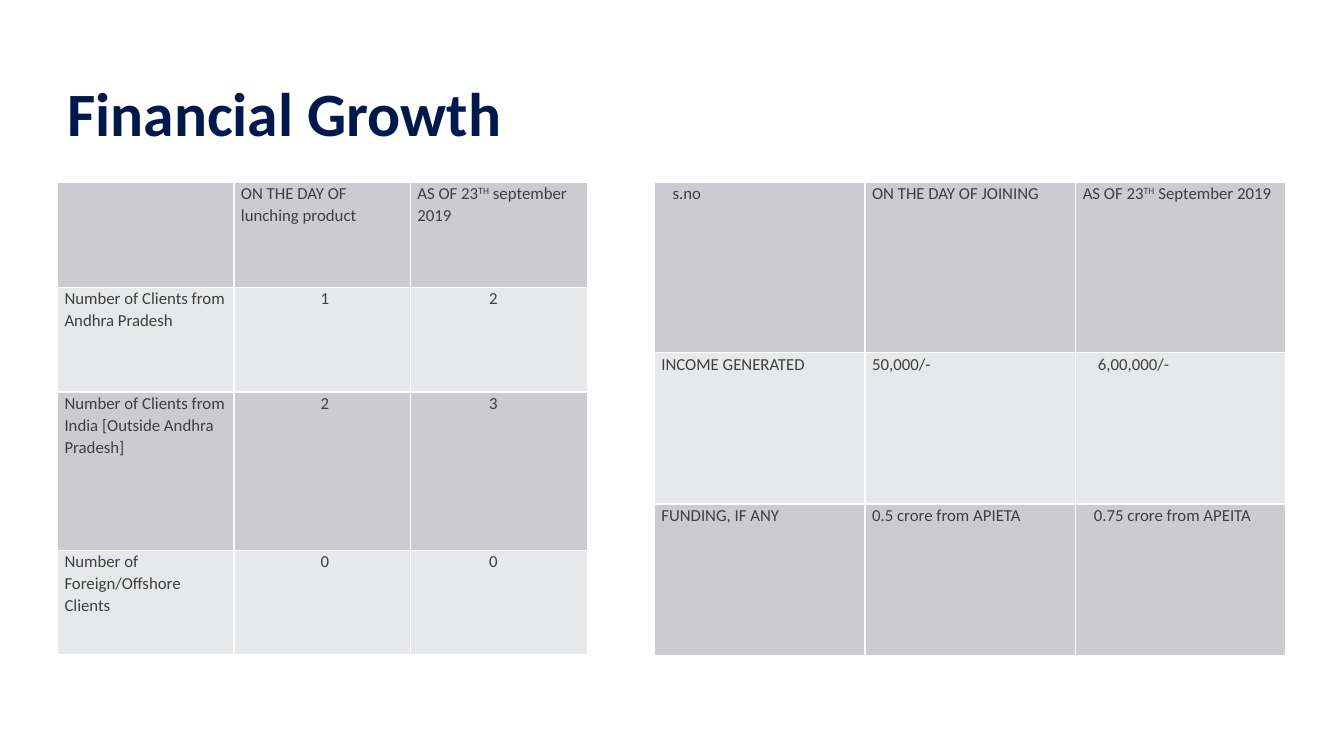
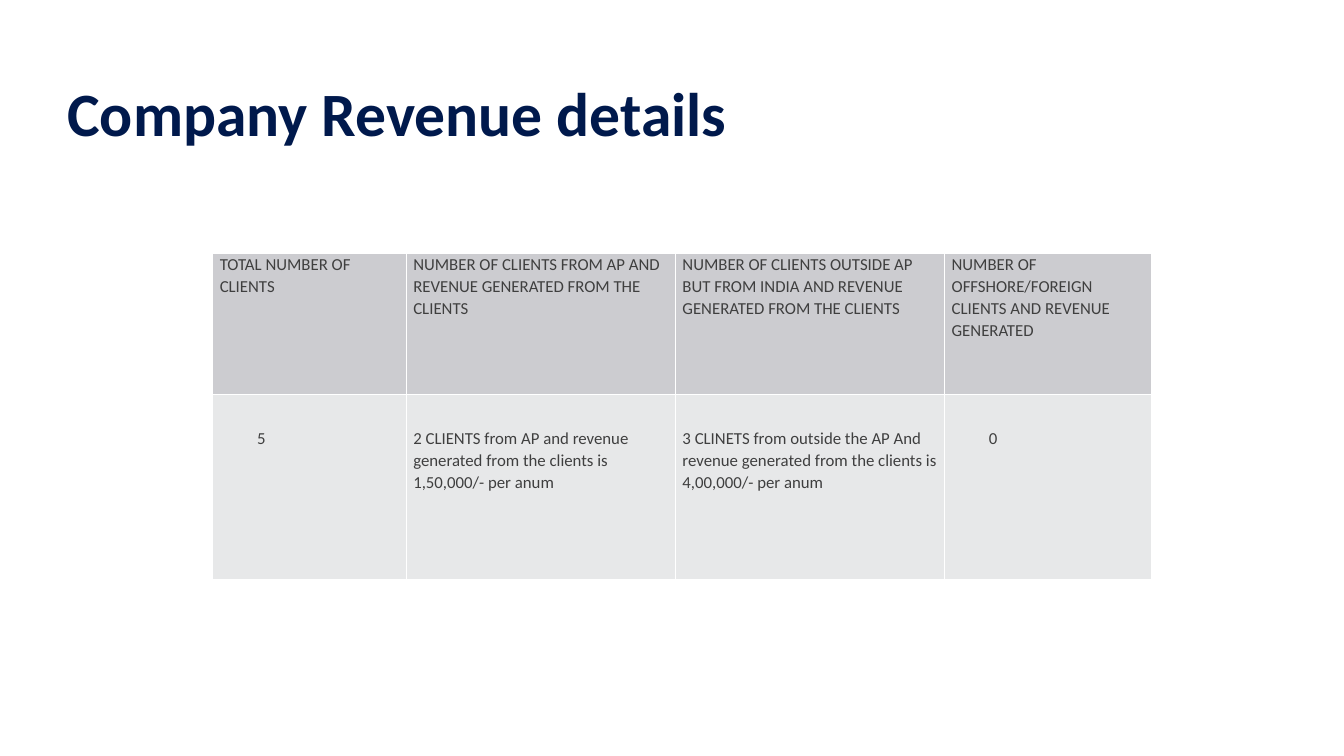
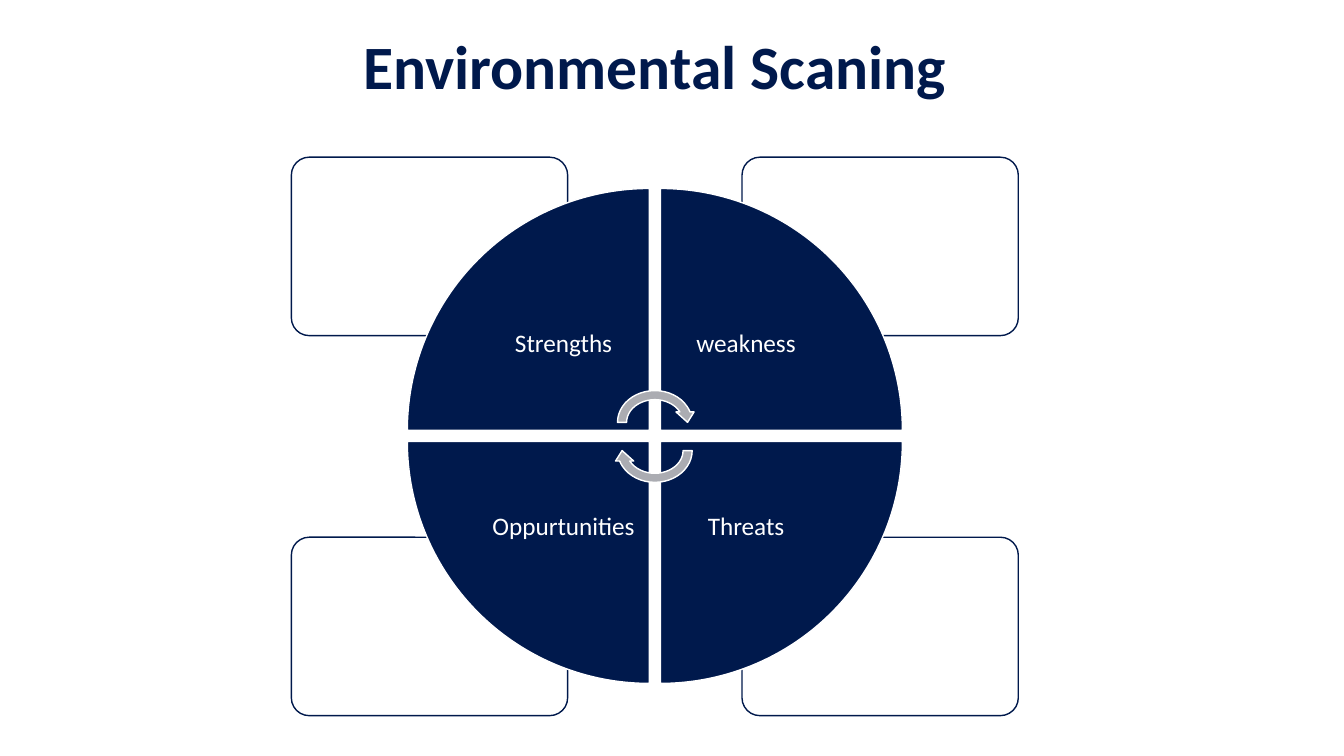
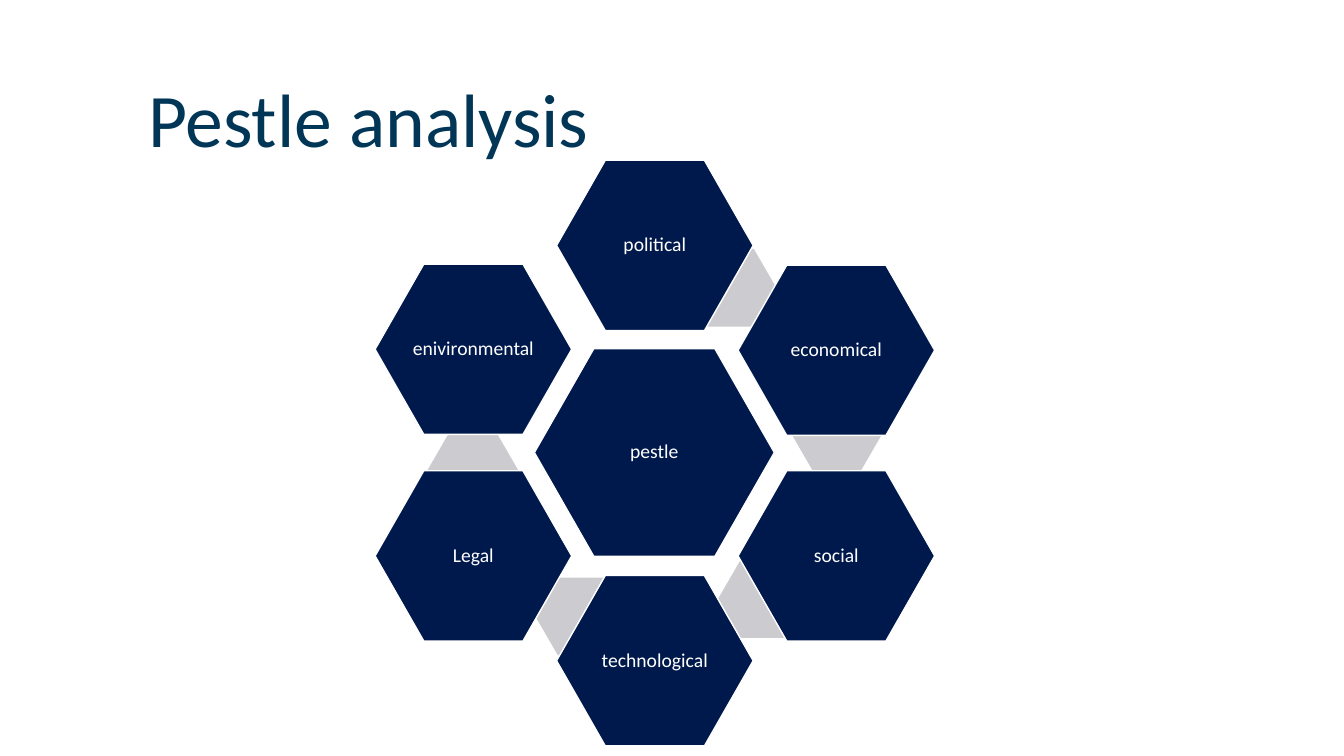
from dataclasses import dataclass

from lxml import etree
from pptx import Presentation
from pptx.dml.color import RGBColor
from pptx.enum.shapes import MSO_SHAPE
from pptx.enum.text import MSO_ANCHOR, PP_ALIGN
from pptx.oxml.ns import qn
from pptx.util import Pt

PX = 9144  # EMU in one px, 100 px to the inch
LEFT, CENTER = PP_ALIGN.LEFT, PP_ALIGN.CENTER
TOP, MIDDLE, BOTTOM = MSO_ANCHOR.TOP, MSO_ANCHOR.MIDDLE, MSO_ANCHOR.BOTTOM
ROUNDED, WEDGE = MSO_SHAPE.ROUNDED_RECTANGLE, MSO_SHAPE.PIE_WEDGE
ARROW, HEXAGON = MSO_SHAPE.CIRCULAR_ARROW, MSO_SHAPE.HEXAGON

COLORS = {
    "navy": "00194C", "teal": "013657", "text": "3F3F3F", "white": "FFFFFF",
    "band": "CCCCD0", "pale": "E7E8E9", "arrow": "ABACB2",
}


@dataclass(frozen=True)
class Style:
    size: int
    color: str
    bold: bool = False
    align: PP_ALIGN = LEFT
    anchor: MSO_ANCHOR = TOP
    spacing: float = 0.9
    margins: tuple[int, int, int, int] = (10, 5, 10, 0)


@dataclass(frozen=True)
class Box:
    x: int
    y: int
    w: int
    h: int

    def emu(self) -> tuple[int, ...]:
        return tuple(v * PX for v in (self.x, self.y, self.w, self.h))


@dataclass(frozen=True)
class Cell:
    """Cell text, with ^ around superscripts, and its extra indent and drop."""
    text: str
    indent: int = 0
    drop: int = 0


@dataclass(frozen=True)
class Table:
    x: int
    y: int
    cols: list[int]
    rows: list[int]
    cells: list[list[Cell]]


TITLE = Style(44, "navy", bold=True, anchor=BOTTOM)
TITLE_CENTERED = Style(44, "navy", bold=True, align=CENTER, anchor=BOTTOM)
TITLE_LARGE = Style(54, "teal", spacing=1.0)
CELL = Style(12, "text", spacing=1.07)
WEDGE_LABEL = Style(18, "white", align=CENTER, anchor=MIDDLE, margins=(10,) * 4)
HEXAGON_LABEL = Style(14, "white", align=CENTER, anchor=MIDDLE, margins=(2,) * 4)
TITLE_BOX = Box(57, 23, 1185, 126)

CLIENTS = Table(57, 181, [175, 175, 176], [104, 104, 157, 104], [
    [Cell(""), Cell("ON THE DAY OF lunching product"),
     Cell("AS OF 23^TH^ september 2019")],
    [Cell("Number of Clients from Andhra Pradesh"), Cell("1", 79), Cell("2", 71)],
    [Cell("Number of Clients from India [Outside Andhra Pradesh]"),
     Cell("2", 79), Cell("3", 71)],
    [Cell("Number of Foreign/Offshore Clients"), Cell("0", 79), Cell("0", 71)],
])
INCOME = Table(649, 181, [209, 209, 208], [169, 150, 150], [
    [Cell("s.no", 11), Cell("ON THE DAY OF JOINING"),
     Cell("AS OF 23^TH^ September 2019")],
    [Cell("INCOME GENERATED"), Cell("50,000/-"), Cell("6,00,000/-", 15)],
    [Cell("FUNDING, IF ANY"), Cell("0.5 crore from APIETA"),
     Cell("0.75 crore from APEITA", 11)],
])
REVENUE = Table(211, 251, [192, 267, 267, 205], [140, 184], [
    [Cell("TOTAL NUMBER OF CLIENTS"),
     Cell("NUMBER OF CLIENTS FROM AP AND REVENUE GENERATED FROM THE CLIENTS"),
     Cell("NUMBER OF CLIENTS OUTSIDE AP BUT FROM INDIA AND REVENUE "
          "GENERATED FROM THE CLIENTS"),
     Cell("NUMBER OF OFFSHORE/FOREIGN CLIENTS AND REVENUE GENERATED")],
    [Cell("5", 37, 33),
     Cell("2 CLIENTS from AP and revenue generated from the clients is "
          "1,50,000/- per anum", drop=33),
     Cell("3 CLINETS from outside the AP And revenue generated from the "
          "clients is 4,00,000/- per anum", drop=33),
     Cell("0", 37, 33)],
])

# label, column, row, rotation
SWOT = [("Strengths", 0, 0, 0), ("weakness", 1, 0, 90),
        ("Threats", 1, 1, 180), ("Oppurtunities", 0, 1, 270)]
# label, column from the middle, top
PESTLE = [("political", 0, 159), ("economical", 1, 263), ("social", 1, 467),
          ("technological", 0, 571), ("Legal", -1, 467), ("enivironmental", -1, 262)]
LINKS = [(680, 247), (785, 392), (712, 556), (531, 573), (424, 428)]


def rgb(name: str) -> RGBColor:
    return RGBColor.from_string(COLORS[name])


def write(tf, text: str, style: Style) -> None:
    p = tf.paragraphs[0]
    for key, value in {"alignment": style.align, "line_spacing": style.spacing}.items():
        setattr(p, key, value)
    for i, part in enumerate(text.split("^")):
        r = p.add_run()
        r.text = part
        font = {"name": "Calibri", "size": Pt(style.size), "bold": style.bold}
        for key, value in font.items():
            setattr(r.font, key, value)
        r.font.color.rgb = rgb(style.color)
        if i % 2:
            r._r.get_or_add_rPr().set("baseline", "30000")


def fill_frame(tf, text: str, style: Style) -> None:
    """Set up the text frame of a shape or text box and write in it."""
    left, top, right, bottom = (m * PX for m in style.margins)
    frame = {"word_wrap": True, "vertical_anchor": style.anchor,
             "margin_left": left, "margin_top": top,
             "margin_right": right, "margin_bottom": bottom}
    for key, value in frame.items():
        setattr(tf, key, value)
    write(tf, text, style)


def add_text(s, box: Box, text: str, style: Style) -> None:
    fill_frame(s.shapes.add_textbox(*box.emu()).text_frame, text, style)


def add_shape(s, kind: MSO_SHAPE, box: Box, fill: str, line: str = "",
              rotation: int = 0, adj: float | None = None):
    sp = s.shapes.add_shape(kind, *box.emu())
    sp.shadow.inherit = False
    sp.rotation = rotation
    sp.fill.solid()
    sp.fill.fore_color.rgb = rgb(fill)
    if line:
        sp.line.color.rgb = rgb(line)
        sp.line.width = Pt(1)
    else:
        sp.line.fill.background()
    if adj is not None:
        sp.adjustments[0] = adj
    return sp


def add_borders(cell) -> None:
    tc_pr = cell._tc.get_or_add_tcPr()
    for side in ("lnL", "lnR", "lnT", "lnB"):
        ln = etree.SubElement(tc_pr, qn(f"a:{side}"), w=str(Pt(1)))
        solid = etree.SubElement(ln, qn("a:solidFill"))
        etree.SubElement(solid, qn("a:srgbClr"), val=COLORS["white"])


def add_table(s, table: Table) -> None:
    box = Box(table.x, table.y, sum(table.cols), sum(table.rows))
    tbl = s.shapes.add_table(len(table.rows), len(table.cols), *box.emu()).table
    tbl.first_row = tbl.horz_banding = False
    for col, width in zip(tbl.columns, table.cols):
        col.width = width * PX
    for i, (row, height) in enumerate(zip(tbl.rows, table.rows)):
        row.height = height * PX
        for cell, data in zip(row.cells, table.cells[i]):
            margins = {"margin_left": 7 + data.indent, "margin_top": data.drop,
                       "margin_right": 7, "margin_bottom": 0}
            for key, value in margins.items():
                setattr(cell, key, value * PX)
            add_borders(cell)
            cell.fill.solid()
            cell.fill.fore_color.rgb = rgb("pale" if i % 2 else "band")
            if data.text:
                write(cell.text_frame, data.text, CELL)


def add_swot(s) -> None:
    for _, col, row, _ in SWOT:
        add_shape(s, ROUNDED, Box(289 + 447 * col, 156 + 377 * row, 274, 177),
                  "white", "navy", adj=0.1)
    for label, col, row, rotation in SWOT:
        x, y = 404 + 251 * col, 187 + 251 * row
        add_shape(s, WEDGE, Box(x, y, 240, 240), "navy", "white", rotation)
        add_text(s, Box(x + 70 * (1 - col), y + 70 * (1 - row), 170, 170),
                 label, WEDGE_LABEL)
    for y, rotation in ((383, 0), (411, 180)):
        add_shape(s, ARROW, Box(608, y, 83, 72), "arrow", "white", rotation)


def add_pestle(s) -> None:
    for x, y in LINKS:
        add_shape(s, HEXAGON, Box(x, y, 90, 77), "band", adj=0.289)
    hexagons = [("pestle", Box(530, 346, 238, 206))]
    hexagons += [(label, Box(552 + 180 * col, top, 195, 169))
                 for label, col, top in PESTLE]
    for label, box in hexagons:
        sp = add_shape(s, HEXAGON, box, "navy", "white", adj=0.286)
        fill_frame(sp.text_frame, label, HEXAGON_LABEL)


def main() -> None:
    prs = Presentation()
    prs.slide_width, prs.slide_height = 1333 * PX, 750 * PX
    growth, revenue, scanning, pestle = (
        prs.slides.add_slide(prs.slide_layouts[6]) for _ in range(4))

    add_text(growth, TITLE_BOX, "Financial Growth", TITLE)
    add_table(growth, CLIENTS)
    add_table(growth, INCOME)

    add_text(revenue, TITLE_BOX, "Company Revenue details", TITLE)
    add_table(revenue, REVENUE)

    add_text(scanning, Box(72, 26, 1155, 76), "Environmental Scaning", TITLE_CENTERED)
    add_swot(scanning)

    add_pestle(pestle)
    add_text(pestle, Box(137, 66, 1034, 101), "Pestle analysis", TITLE_LARGE)

    prs.save("out.pptx")


if __name__ == "__main__":
    main()
